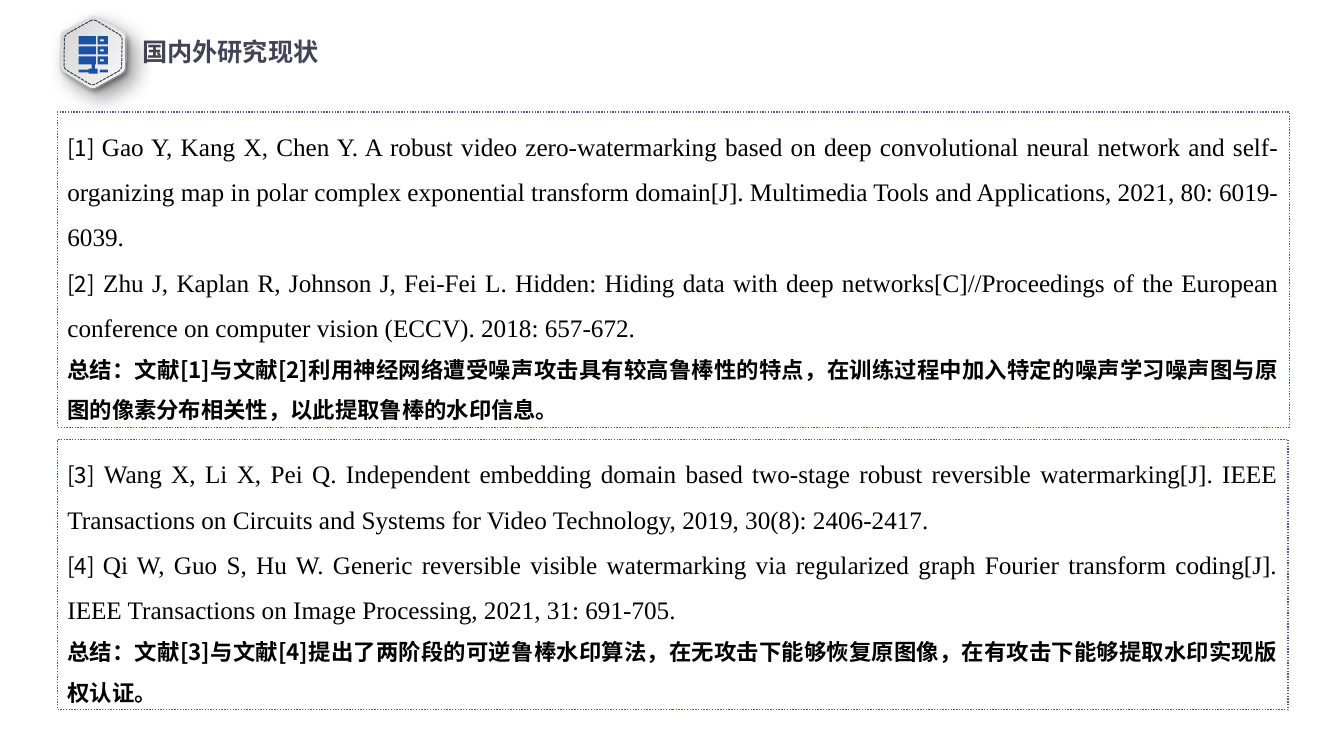
import math

from lxml import etree
from pptx import Presentation
from pptx.dml.color import RGBColor
from pptx.enum.dml import MSO_LINE
from pptx.enum.shapes import MSO_SHAPE
from pptx.enum.text import MSO_ANCHOR, MSO_AUTO_SIZE, PP_ALIGN
from pptx.oxml.ns import qn
from pptx.util import Pt

DOTTED, DASHED = MSO_LINE.ROUND_DOT, MSO_LINE.SQUARE_DOT
RECTANGLE = MSO_SHAPE.RECTANGLE
MIDDLE = MSO_ANCHOR.MIDDLE
FIT_SHAPE = MSO_AUTO_SIZE.SHAPE_TO_FIT_TEXT
JUSTIFY = PP_ALIGN.JUSTIFY

TITLE = "国内外研究现状"
PANELS = [
    {
        "frame": (41.04, 79.92, 879.84, 225.36),
        "references": [
            ("[1] ", "Gao Y, Kang X, Chen Y. A robust video zero-watermarking based on deep "
             "convolutional neural network and self-organizing map in polar complex exponential "
             "transform domain[J]. Multimedia Tools and Applications, 2021, 80: 6019-6039."),
            ("[2]", " Zhu J, Kaplan R, Johnson J, Fei-Fei L. Hidden: Hiding data with deep "
             "networks[C]//Proceedings of the European conference on computer vision (ECCV). "
             "2018: 657-672."),
        ],
        "summary": "总结：文献[1]与文献[2]利用神经网络遭受噪声攻击具有较高鲁棒性的特点，"
                   "在训练过程中加入特定的噪声学习噪声图与原图的像素分布相关性，以此提取鲁棒的水印信息。",
    },
    {
        "frame": (41.04, 313.92, 879.12, 192.96),
        "references": [
            ("[3]", " Wang X, Li X, Pei Q. Independent embedding domain based two-stage robust "
             "reversible watermarking[J]. IEEE Transactions on Circuits and Systems for Video "
             "Technology, 2019, 30(8): 2406-2417."),
            ("[4] ", "Qi W, Guo S, Hu W. Generic reversible visible watermarking via regularized "
             "graph Fourier transform coding[J]. IEEE Transactions on Image Processing, 2021, "
             "31: 691-705."),
        ],
        "summary": "总结：文献[3]与文献[4]提出了两阶段的可逆鲁棒水印算法，在无攻击下能够恢复原图像，"
                   "在有攻击下能够提取水印实现版权认证。",
    },
]
COLORS = {"title": "414455", "text": "000000", "panel": "545892", "server": "1C50A2",
          "badge_dark": "D3D3D3", "badge_light": "F9F9F9", "shadow": "000000"}
CJK, SERIF = "Noto Sans CJK SC", "Times New Roman"

BADGE_CENTER = (66.5, 37.4)
BADGE_TILT = 0.9
BADGE_LAYERS = [
    {"radius": 27.3, "angle": 59, "shadow": (15, 9)},
    {"radius": 26.1, "angle": 329, "shadow": (4, 3)},
]
STITCH_RADIUS = 23.8
SERVER_ROWS, SERVER_TOP, SERVER_PITCH = 3, 25.9, 7.2
SERVER_STAND = [(65.5, 46.1, 2.2, 2.9), (63.4, 49, 6.4, 3.6),
                (56.2, 49.7, 7.2, 2.1), (71.3, 49.7, 5.8, 2.1)]


def rgb(name):
    return RGBColor.from_string(COLORS[name])


def set_font(font, face, size):
    font.size = Pt(size)
    font.name = face
    etree.SubElement(font._rPr, qn("a:ea"), typeface=face)


def draw_outlines(slide, outlines):
    points = [[(Pt(x), Pt(y)) for x, y in outline] for outline in outlines]
    builder = slide.shapes.build_freeform(*points[0][0])
    builder.add_line_segments(points[0][1:], close=True)
    for outline in points[1:]:
        builder.move_to(*outline[0])
        builder.add_line_segments(outline[1:], close=True)
    shape = builder.convert_to_shape()
    shape.shadow.inherit = False
    return shape


def rounded_hexagon(radius, rounding=0.12, steps=6):
    def corner(index):
        angle = math.radians(60 * index - 90 + BADGE_TILT)
        return (BADGE_CENTER[0] + radius * math.cos(angle),
                BADGE_CENTER[1] + radius * math.sin(angle))

    def toward(start, end, share):
        return tuple(a + (b - a) * share for a, b in zip(start, end))

    outline = []
    for index in range(6):
        tip = corner(index)
        entry = toward(tip, corner(index - 1), rounding)
        leave = toward(tip, corner(index + 1), rounding)
        for step in range(steps + 1):
            t = step / steps
            outline.append(toward(toward(entry, tip, t), toward(tip, leave, t), t))
    return outline


def box(left, top, width, height):
    return [(left, top), (left + width, top),
            (left + width, top + height), (left, top + height)]


def add_shadow(shape, blur, distance):
    effects = shape._element.spPr.find(qn("a:effectLst"))
    outer = etree.SubElement(effects, qn("a:outerShdw"), blurRad=str(Pt(blur)),
                             dist=str(Pt(distance)), dir="2700000", algn="tl",
                             rotWithShape="0")
    tint = etree.SubElement(outer, qn("a:srgbClr"), val=COLORS["shadow"])
    etree.SubElement(tint, qn("a:alpha"), val="40000")


def add_badge(slide):
    for layer in BADGE_LAYERS:
        hexagon = draw_outlines(slide, [rounded_hexagon(layer["radius"])])
        hexagon.fill.gradient()
        hexagon.fill.gradient_angle = layer["angle"]
        for stop, name in zip(hexagon.fill.gradient_stops, ("badge_dark", "badge_light")):
            stop.color.rgb = rgb(name)
        hexagon.line.fill.background()
        add_shadow(hexagon, *layer["shadow"])
    stitch = draw_outlines(slide, [rounded_hexagon(STITCH_RADIUS)])
    stitch.fill.background()
    stitch.line.color.rgb = rgb("title")
    stitch.line.width = Pt(0.75)
    stitch.line.dash_style = DASHED


def add_server(slide):
    outlines = [box(*part) for part in SERVER_STAND]
    for row in range(SERVER_ROWS):
        top = SERVER_TOP + row * SERVER_PITCH
        outlines += [box(56.2, top, 12.2, 5.8), box(69.8, top, 7.2, 5.8),
                     box(71.3, top + 2.2, 2.9, 1.4)[::-1]]
    server = draw_outlines(slide, outlines)
    server.fill.solid()
    server.fill.fore_color.rgb = rgb("server")
    server.line.fill.background()


def add_title(slide):
    heading = slide.shapes.add_textbox(Pt(96.5), Pt(23), Pt(220.3), Pt(27.4))
    frame = heading.text_frame
    frame.word_wrap = True
    frame.auto_size = FIT_SHAPE
    frame.margin_left = frame.margin_right = Pt(5)
    frame.margin_top = frame.margin_bottom = Pt(2.9)
    paragraph = frame.paragraphs[0]
    paragraph.text = TITLE
    paragraph.font.bold = True
    paragraph.font.color.rgb = rgb("title")
    set_font(paragraph.font, CJK, 18)


def add_panel(slide, content):
    panel = slide.shapes.add_shape(RECTANGLE, *map(Pt, content["frame"]))
    panel.shadow.inherit = False
    panel.fill.background()
    panel.line.color.rgb = rgb("panel")
    panel.line.width = Pt(1)
    panel.line.dash_style = DOTTED
    frame = panel.text_frame
    frame.word_wrap = True
    frame.auto_size = FIT_SHAPE
    frame.vertical_anchor = MIDDLE
    entries = content["references"] + [(content["summary"],)]
    for index, entry in enumerate(entries):
        paragraph = frame.add_paragraph() if index else frame.paragraphs[0]
        paragraph.alignment = JUSTIFY
        paragraph.line_spacing = 1.5
        paragraph.font.color.rgb = rgb("text")
        runs = [paragraph.add_run() for _ in entry]
        for run, wording in zip(runs, entry):
            run.text = wording
        if len(entry) == 1:
            paragraph.font.bold = True
            set_font(paragraph.font, CJK, 16)
        else:
            set_font(runs[0].font, CJK, 16)
            set_font(runs[1].font, SERIF, 18)


def main():
    """Build the research status slide."""
    deck = Presentation()
    deck.slide_width, deck.slide_height = Pt(960), Pt(540)
    slide = deck.slides.add_slide(deck.slide_layouts[6])
    add_badge(slide)
    add_title(slide)
    add_server(slide)
    for content in PANELS:
        add_panel(slide, content)
    deck.save("out.pptx")


if __name__ == "__main__":
    main()
